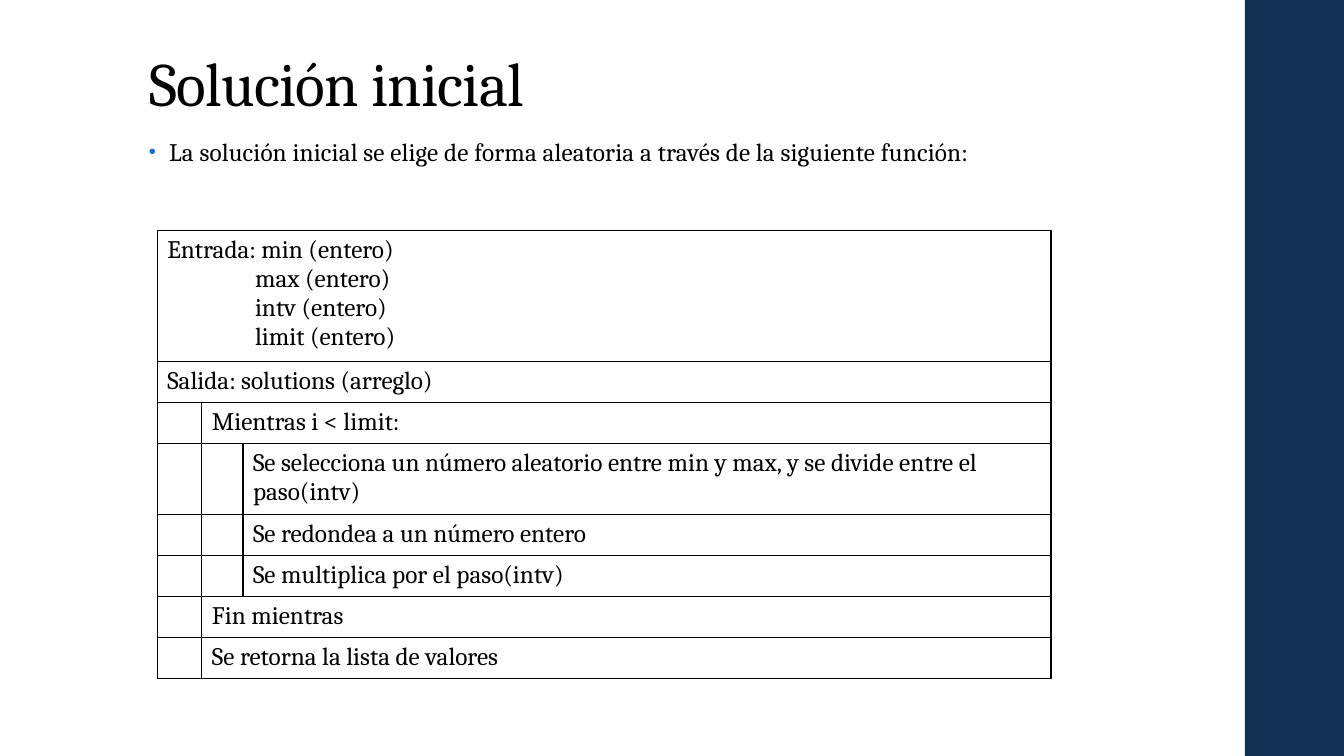
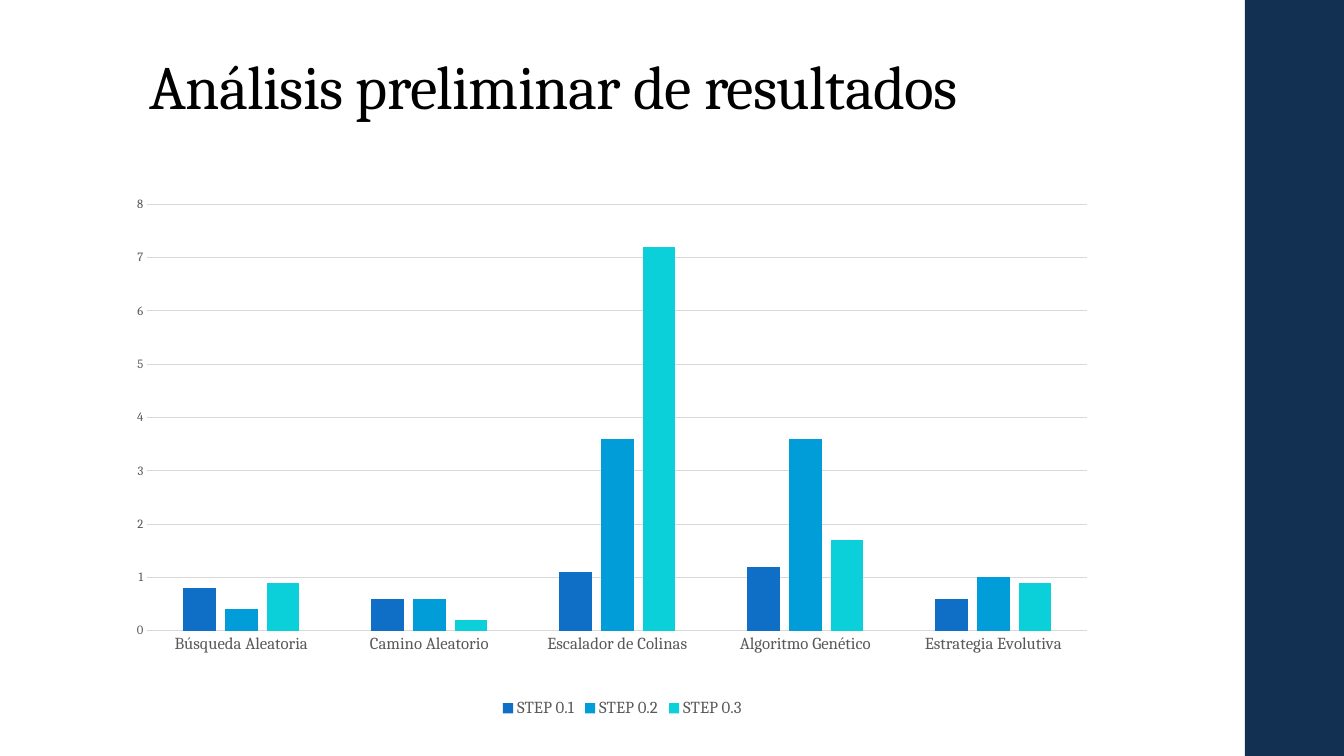
from lxml import etree
from pptx import Presentation, util as u
from pptx.chart import data as chart_data
from pptx.dml.color import RGBColor
from pptx.enum import chart as charts, shapes, text
from pptx.oxml import parse_xml
from pptx.oxml.ns import nsdecls, qn

NAVY = RGBColor(0x11, 0x30, 0x52)
BLACK = RGBColor(0x00, 0x00, 0x00)
GREY = RGBColor(0x59, 0x59, 0x59)
PALE = RGBColor(0xD9, 0xD9, 0xD9)
BLUE = RGBColor(0x0F, 0x6F, 0xC6)
SKY = RGBColor(0x00, 0x9D, 0xD9)
AQUA = RGBColor(0x0B, 0xD0, 0xD9)
FONT = "Cambria"

presentation = Presentation()
presentation.slide_width = u.Inches(13.33)
presentation.slide_height = u.Inches(7.5)
WIDTH, HEIGHT = presentation.slide_width, presentation.slide_height


def place(left, top, width, height):
    return [round(size * share / 100) for size, share in
            zip((WIDTH, HEIGHT, WIDTH, HEIGHT), (left, top, width, height))]


def style(font, size, color=BLACK):
    for name, value in {"name": FONT, "size": u.Pt(size), "bold": False}.items():
        setattr(font, name, value)
    font.color.rgb = color


layout = presentation.slide_layouts[5]
slides = []
for title, height in (("Solución inicial", 11.2),
                      ("Análisis preliminar de resultados", 11.6)):
    slide = presentation.slides.add_slide(layout)
    shape = slide.shapes.title
    values = place(10.35, 5.33, 79.5, height)
    for name, value in zip(("left", "top", "width", "height"), values):
        setattr(shape, name, value)
    frame = shape.text_frame
    frame.text = title
    for name, value in {"vertical_anchor": text.MSO_ANCHOR.BOTTOM,
                        "auto_size": text.MSO_AUTO_SIZE.NONE,
                        "word_wrap": True}.items():
        setattr(frame, name, value)
    paragraph = frame.paragraphs[0]
    paragraph.alignment = text.PP_ALIGN.LEFT
    paragraph.line_spacing = 0.9
    run = paragraph.runs[0]
    style(run.font, 44)
    run.font._element.set("spc", "-50")
    slides.append(slide)
solution_slide, results_slide = slides

band = solution_slide.shapes.add_shape(
    shapes.MSO_SHAPE.RECTANGLE, *place(92.63, 0, 7.37, 100))
band.shadow.inherit = False
band.fill.solid()
band.fill.fore_color.rgb = NAVY
band.line.fill.background()
layout.shapes.element.insert(2, band.element)

intro = solution_slide.shapes.add_textbox(*place(10.35, 17.6, 70.5, 62.4))
intro.text_frame.word_wrap = True
paragraph = intro.text_frame.paragraphs[0]
for name, value in {"line_spacing": 0.95, "space_before": u.Pt(14),
                    "space_after": u.Pt(2)}.items():
    setattr(paragraph, name, value)
run = paragraph.add_run()
run.text = "La solución inicial se elige de forma aleatoria a través de la siguiente función:"
style(run.font, 18)
run.font._element.set("spc", "10")
properties = paragraph._p.get_or_add_pPr()
properties.set("marL", str(u.Inches(0.2)))
properties.set("indent", str(-u.Inches(0.2)))
color = etree.SubElement(properties, qn("a:buClr"))
etree.SubElement(color, qn("a:srgbClr"), val=str(BLUE))
etree.SubElement(properties, qn("a:buSzPct"), val="80000")
etree.SubElement(properties, qn("a:buFont"), typeface="Arial")
etree.SubElement(properties, qn("a:buChar"), char="•")

STEPS = [
    (0, 17.33, "Entrada: min (entero)\nmax (entero)\nintv (entero)\nlimit (entero)"),
    (0, 5.42, "Salida: solutions (arreglo)"),
    (1, 5.42, "Mientras i < limit:"),
    (2, 9.33, "Se selecciona un número aleatorio entre min y max, y se divide entre el paso(intv)"),
    (2, 5.42, "Se redondea a un número entero"),
    (2, 5.42, "Se multiplica por el paso(intv)"),
    (1, 5.42, "Fin mientras"),
    (1, 5.42, "Se retorna la lista de valores"),
]
COLUMN_SHARES = (5, 4.6, 90.4)
LAST = len(COLUMN_SHARES) - 1
table_box = place(11.7, 30.53, 66.5, 59.18)
table = solution_slide.shapes.add_table(
    len(STEPS), len(COLUMN_SHARES), *table_box).table
table.first_row = False
table.horz_banding = False
for column, share in zip(table.columns, COLUMN_SHARES):
    column.width = round(table_box[2] * share / 100)
for row_index, (level, row_share, wording) in enumerate(STEPS):
    table.rows[row_index].height = round(HEIGHT * row_share / 100)
    for column_index in range(LAST + 1):
        cell = table.cell(row_index, column_index)
        cell_properties = cell._tc.get_or_add_tcPr()
        for side in ("lnL", "lnR", "lnT", "lnB"):
            cell_properties.append(parse_xml(
                f'<a:{side} {nsdecls("a")} w="{u.Pt(1)}"><a:solidFill>'
                f'<a:srgbClr val="{BLACK}"/></a:solidFill></a:{side}>'))
        cell.fill.background()
    cell = table.cell(row_index, level)
    if level < LAST:
        cell.merge(table.cell(row_index, LAST))
    cell.text = wording
    for index, paragraph in enumerate(cell.text_frame.paragraphs):
        style(paragraph.runs[0].font, 18)
        if index:
            paragraph._p.get_or_add_pPr().set("marL", str(u.Inches(0.87)))

SERIES = [
    ("STEP 0.1", BLUE, (0.8, 0.6, 1.1, 1.2, 0.6)),
    ("STEP 0.2", SKY, (0.4, 0.6, 3.6, 3.6, 1)),
    ("STEP 0.3", AQUA, (0.9, 0.2, 7.2, 1.7, 0.9)),
]
results = chart_data.CategoryChartData()
results.categories = ["Búsqueda Aleatoria", "Camino Aleatorio", "Escalador de Colinas",
                      "Algoritmo Genético", "Estrategia Evolutiva"]
for name, color, values in SERIES:
    results.add_series(name, values)
chart = results_slide.shapes.add_chart(
    charts.XL_CHART_TYPE.COLUMN_CLUSTERED, *place(8.7, 20.27, 75.22, 75.2), results).chart
style(chart.font, 10)
chart.has_title = False
chart.has_legend = True
chart.legend.position = charts.XL_LEGEND_POSITION.BOTTOM
chart.legend.include_in_layout = False
style(chart.legend.font, 12, GREY)
plot = chart.plots[0]
for name, value in {"gap_width": 219, "overlap": -27, "vary_by_categories": False}.items():
    setattr(plot, name, value)
for series, (name, color, values) in zip(plot.series, SERIES):
    series.format.fill.solid()
    series.format.fill.fore_color.rgb = color
for axis, size in ((chart.category_axis, 12), (chart.value_axis, 9)):
    axis.major_tick_mark = charts.XL_TICK_MARK.NONE
    axis.minor_tick_mark = charts.XL_TICK_MARK.NONE
    style(axis.tick_labels.font, size, GREY)
chart.value_axis.format.line.fill.background()
for name, value in {"minimum_scale": 0, "maximum_scale": 8, "major_unit": 1}.items():
    setattr(chart.value_axis, name, value)
for line in (chart.category_axis.format.line, chart.value_axis.major_gridlines.format.line):
    line.color.rgb = PALE
    line.width = u.Pt(0.75)

plot_area = chart._chartSpace.chart.plotArea
for old_layout in plot_area.findall(qn("c:layout")):
    plot_area.remove(old_layout)
plot_layout = etree.Element(qn("c:layout"))
manual = etree.SubElement(plot_layout, qn("c:manualLayout"))
for tag, value in {"layoutTarget": "inner", "xMode": "edge", "yMode": "edge",
                   "x": 0.03, "y": 0.09, "w": 0.93, "h": 0.75}.items():
    etree.SubElement(manual, qn(f"c:{tag}"), val=str(value))
plot_area.insert(0, plot_layout)

presentation.save("out.pptx")
